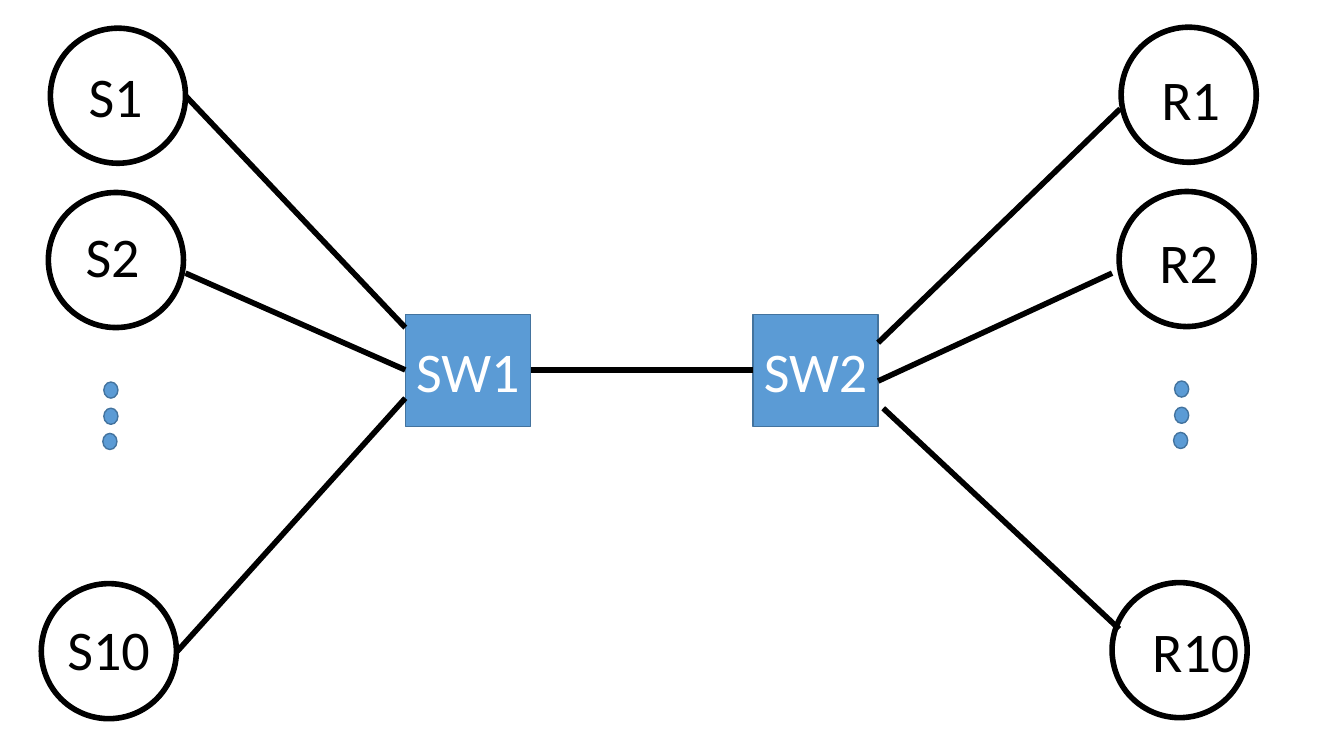
from lxml import etree
from pptx import Presentation
from pptx.dml.color import RGBColor
from pptx.enum.shapes import MSO_CONNECTOR, MSO_SHAPE
from pptx.enum.text import MSO_ANCHOR, MSO_AUTO_SIZE, PP_ALIGN
from pptx.oxml.ns import qn
from pptx.util import Inches, Pt

COLORS = {name: RGBColor.from_string(value) for name, value in {
    "black": "000000", "white": "FFFFFF", "blue": "5B9BD5", "edge": "43739E"}.items()}

prs = Presentation()
prs.slide_width, prs.slide_height = Inches(13.33), Inches(7.5)
slide = prs.slides.add_slide(prs.slide_layouts[6])
shapes = slide.shapes


def add_node(kind, left, top, width, height, fill, line, weight):
    node = shapes.add_shape(kind, Inches(left), Inches(top), Inches(width), Inches(height))
    node.shadow.inherit = False
    if fill:
        node.fill.solid()
        node.fill.fore_color.rgb = COLORS[fill]
    else:
        node.fill.background()
    node.line.color.rgb = COLORS[line]
    node.line.width = Pt(weight)
    return node


def write(shape, text, color, align):
    frame = shape.text_frame
    frame.word_wrap = False
    paragraph = frame.paragraphs[0]
    paragraph.alignment = align
    run = paragraph.add_run()
    run.text = text
    run.font.name = "Calibri"
    run.font.size = Pt(40)
    run.font.color.rgb = COLORS[color]
    return frame


# Host circles and ellipsis dots: the receivers repeat the senders' column
HOSTS = [(0.5, 0.28), (0.48, 1.91), (0.41, 5.79)]
DOTS = [(1.03, 3.79), (1.03, 4.05), (1.02, 4.3)]
for dx, dy in [(0, 0), (10.62, -0.01)]:
    for left, top in HOSTS:
        add_node(MSO_SHAPE.OVAL, left + dx, top + dy, 1.34, 1.34, None, "black", 4)
    for left, top in DOTS:
        add_node(MSO_SHAPE.OVAL, left + dx, top + dy, 0.14, 0.16, "blue", "edge", 1)

# Switches
for name, left in [("SW1", 4.02), ("SW2", 7.47)]:
    switch = add_node(MSO_SHAPE.RECTANGLE, left, 3.12, 1.24, 1.11, "blue", "edge", 1)
    write(switch, name, "white", PP_ALIGN.CENTER).vertical_anchor = MSO_ANCHOR.MIDDLE

# Links: senders to SW1, SW1 to SW2, SW2 to receivers
LINKS = [
    (1.84, 0.95, 4.02, 3.25), (1.84, 2.71, 4.02, 3.67), (1.76, 6.46, 4.02, 3.95),
    (5.27, 3.67, 7.47, 3.67),
    (8.71, 3.4, 11.11, 1.08), (8.71, 3.78, 11.03, 2.71), (8.76, 4.05, 11.1, 6.24),
]
for ends in LINKS:
    link = shapes.add_connector(MSO_CONNECTOR.STRAIGHT, *map(Inches, ends))
    link.line.color.rgb = COLORS["black"]
    link.line.width = Pt(4)
    etree.SubElement(link._element.spPr, qn("a:effectLst"))

# Host labels
LABELS = [
    ("S1", 0.78, 0.56, 0.74), ("S2", 0.75, 2.15, 0.74), ("S10", 0.57, 6.05, 1.03),
    ("R1", 11.42, 0.59, 0.79), ("R2", 11.4, 2.21, 0.79), ("R10", 11.33, 6.07, 1.07),
]
for name, left, top, width in LABELS:
    label = shapes.add_textbox(Inches(left), Inches(top), Inches(width), Inches(0.77))
    write(label, name, "black", PP_ALIGN.LEFT).auto_size = MSO_AUTO_SIZE.SHAPE_TO_FIT_TEXT

prs.save("out.pptx")
